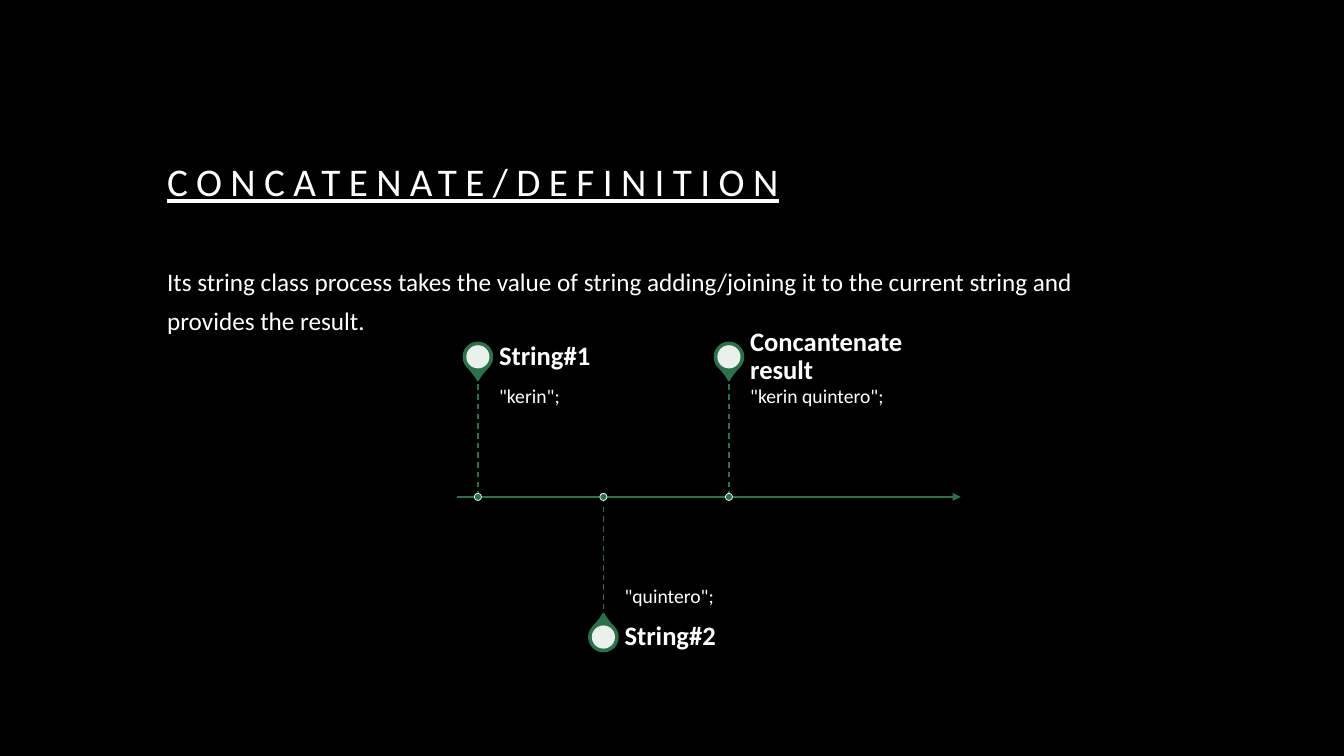
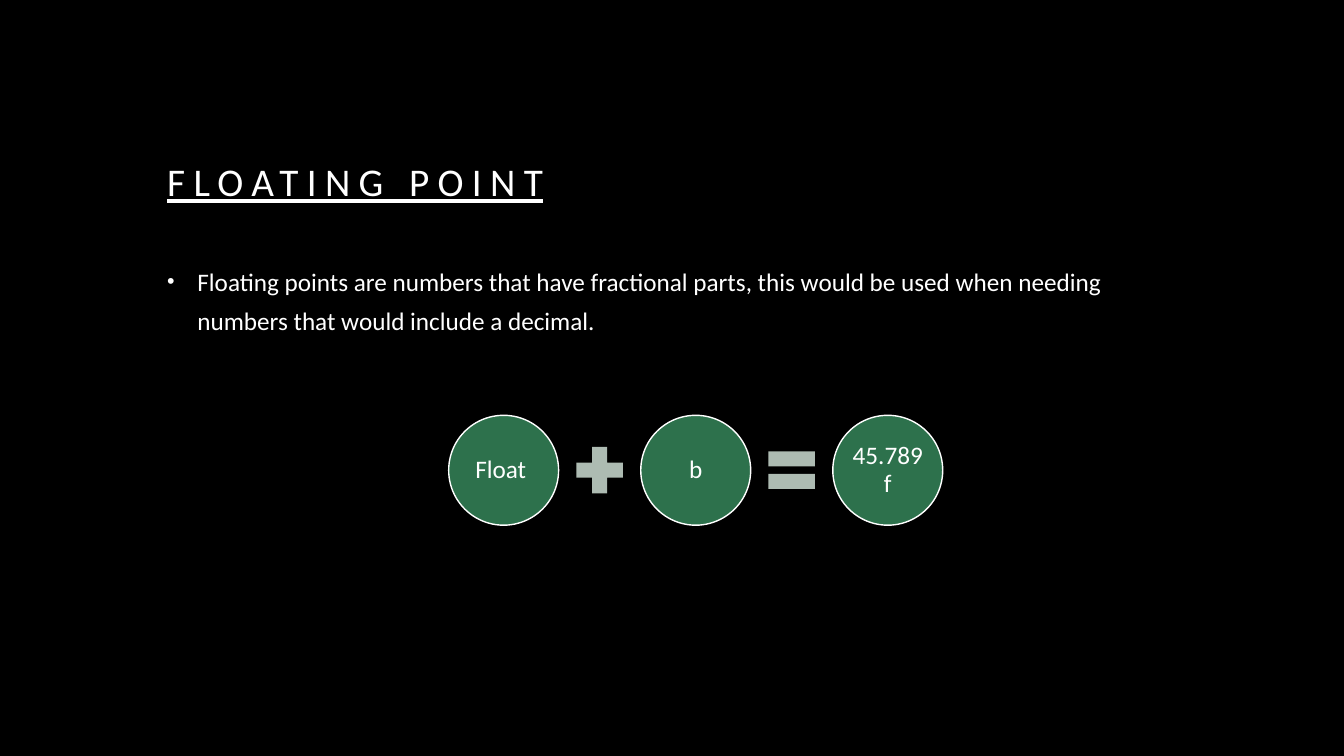
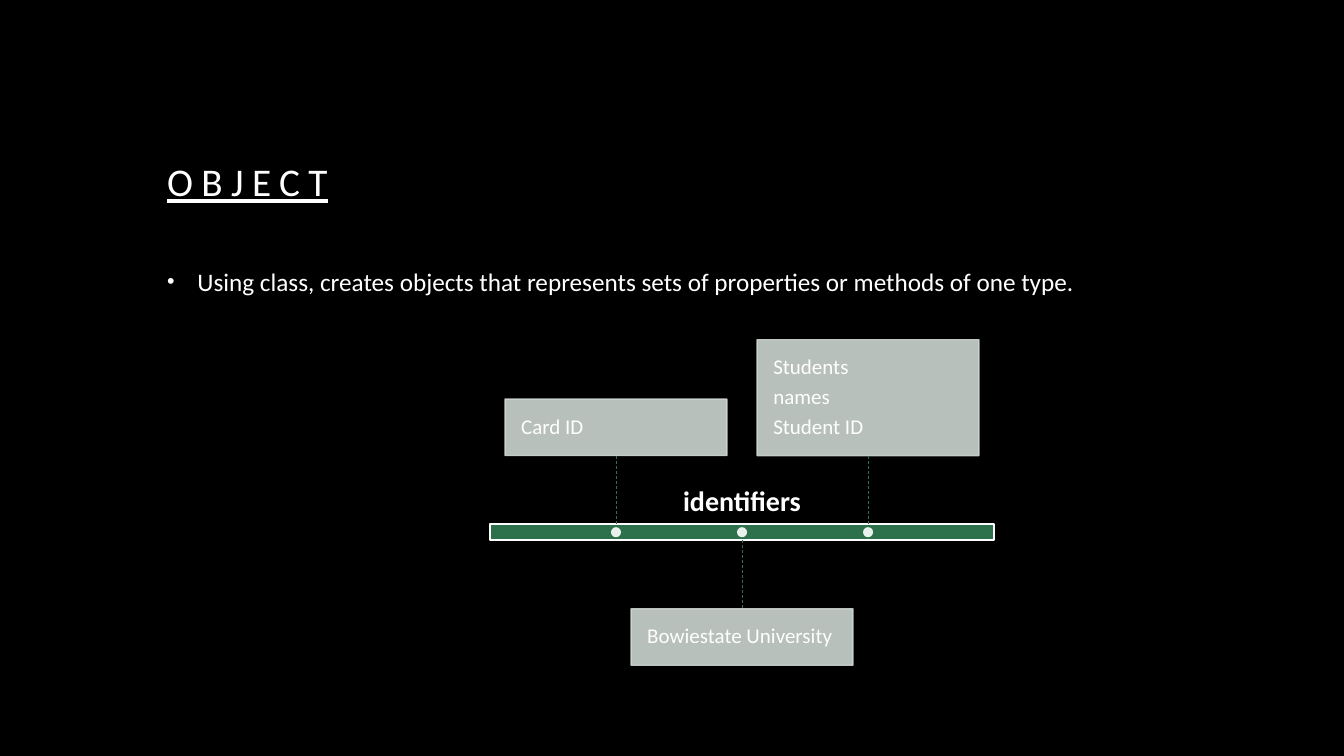
from dataclasses import dataclass

from lxml.etree import SubElement
from pptx import Presentation
from pptx.dml.color import RGBColor
from pptx.enum.dml import MSO_LINE
from pptx.enum.shapes import MSO_CONNECTOR, MSO_SHAPE
from pptx.enum.text import MSO_ANCHOR, PP_ALIGN
from pptx.oxml.ns import qn
from pptx.util import Inches, Pt

RECT, OVAL, TEAR = MSO_SHAPE.RECTANGLE, MSO_SHAPE.OVAL, MSO_SHAPE.TEAR
PLUS, EQUAL = MSO_SHAPE.MATH_PLUS, MSO_SHAPE.MATH_EQUAL
STRAIGHT, DASH = MSO_CONNECTOR.STRAIGHT, MSO_LINE.DASH
TOP, MID, LOW = MSO_ANCHOR.TOP, MSO_ANCHOR.MIDDLE, MSO_ANCHOR.BOTTOM
LEFT, CENTER = PP_ALIGN.LEFT, PP_ALIGN.CENTER


@dataclass(frozen=True)
class Theme:
    font: str = "Calibri"
    back: str = "000000"
    text: str = "FFFFFF"
    green: str = "2D714C"
    sign: str = "ADBBB2"
    card: str = "CDD5D0"
    title: int = 28
    body: int = 18
    head: int = 19
    note: int = 14
    item: int = 15
    label: int = 20


T = Theme()


def rgb(code):
    return RGBColor.from_string(code)


def apply(target, values):
    for name, value in values.items():
        setattr(target, name, value)


def write(shape, text, size, anchor=MID, align=LEFT, inset=(0, 0, 0, 0),
          space=0.9, after=0.35, **style):
    frame = shape.text_frame
    sides = ("margin_left", "margin_top", "margin_right", "margin_bottom")
    apply(frame, {"word_wrap": True, "vertical_anchor": anchor,
                  **{side: Inches(gap) for side, gap in zip(sides, inset)}})
    for i, line in enumerate(text.split("\n")):
        para = frame.add_paragraph() if i else frame.paragraphs[0]
        apply(para, {"alignment": align, "line_spacing": space,
                     "space_before": Pt(0), "space_after": Pt(size * after)})
        run = para.add_run()
        run.text = line
        apply(run.font, {"name": T.font, "size": Pt(size), **style})
        run.font.color.rgb = rgb(T.text)
    return frame


def label(slide, box, text, size, **style):
    shape = slide.shapes.add_textbox(*map(Inches, box))
    return write(shape, text, size, **style)


def draw(slide, kind, box, fill, edge=None, width=1.0, alpha=None):
    shape = slide.shapes.add_shape(kind, *map(Inches, box))
    shape.shadow.inherit = False
    shape.fill.solid()
    shape.fill.fore_color.rgb = rgb(fill)
    if edge:
        shape.line.color.rgb = rgb(edge)
        shape.line.width = Pt(width)
    else:
        shape.line.fill.background()
    if alpha:
        for color in list(shape.element.spPr.iter(qn("a:srgbClr"))):
            SubElement(color, qn("a:alpha"), val=str(alpha * 1000))
    return shape


def dot(slide, x, y, size, fill, **style):
    box = (x - size / 2, y - size / 2, size, size)
    return draw(slide, OVAL, box, fill, **style)


def rule(slide, start, end, width, dash=None, arrow=False):
    line = slide.shapes.add_connector(STRAIGHT, *map(Inches, start + end))
    line.line.color.rgb = rgb(T.green)
    line.line.width = Pt(width)
    if dash:
        line.line.dash_style = dash
    props = line._element.spPr
    if arrow:
        SubElement(props.find(qn("a:ln")), qn("a:tailEnd"), type="triangle")
    SubElement(props, qn("a:effectLst"))


def page(deck, title, body, bullet=True):
    slide = deck.slides.add_slide(deck.slide_layouts[6])
    slide.background.fill.solid()
    slide.background.fill.fore_color.rgb = rgb(T.back)
    pad = (0.1, 0.05, 0.1, 0.05)
    head = label(slide, (1.56, 1.14, 10.1, 0.94), title, T.title, anchor=LOW,
                 inset=pad, space=1.2, after=0, underline=True)
    head.paragraphs[0].runs[0].font._element.set("spc", "600")
    text = label(slide, (1.56, 2.5, 10.1, 4.17), body, T.body, anchor=TOP,
                 inset=pad, space=1.3, after=0)
    if bullet:
        props = text.paragraphs[0]._p.get_or_add_pPr()
        props.set("marL", str(Inches(0.3)))
        props.set("indent", str(Inches(-0.3)))
        SubElement(props, qn("a:buSzPct"), val="85000")
        SubElement(props, qn("a:buFont"), typeface="Arial")
        SubElement(props, qn("a:buChar"), char="•")
    return slide


def event(slide, x, y, up, head, note):
    stem, tall, wide, pin = 1.18, 0.42, 2.08, 0.29
    end = y - stem if up else y + stem
    top = end - tall if up else end
    mid = top + tall / 2
    drop = draw(slide, TEAR, (x - pin / 2, mid - pin / 2, pin, pin),
                T.green, T.green)
    drop.adjustments[0] = 1.15
    drop.rotation = 135 if up else 315
    dot(slide, x, mid, 0.23, T.text, alpha=90)
    left = x + 0.21
    label(slide, (left, min(y, end), wide, stem), note, T.note,
          anchor=TOP if up else LOW,
          inset=(0, 0.1, 0.1, 0.15) if up else (0, 0.15, 0, 0.1))
    label(slide, (left, top, wide, tall), head, T.head,
          inset=(0, 0, 0.13, 0), bold=True)
    rule(slide, (x, y), (x, end), 1, DASH)
    dot(slide, x, y, 0.07, T.green, edge=T.text, width=0.5)


def timeline(slide, left, y, width, events):
    rule(slide, (left, y), (left + width, y), 1.5, arrow=True)
    for i, (head, note) in enumerate(events):
        event(slide, left + 0.21 + i * 1.245, y, i % 2 == 0, head, note)


def formula(slide, left, top, width, ball, terms, signs):
    step = (width - ball) / (len(terms) - 1)
    size = 0.63
    for i, term in enumerate(terms):
        shape = draw(slide, OVAL, (left + i * step, top, ball, ball),
                     T.green, T.text)
        write(shape, term, T.body, align=CENTER, inset=(0.03,) * 4)
    for i, sign in enumerate(signs):
        x = left + (i + 0.5) * step + (ball - size) / 2
        draw(slide, sign, (x, top + (ball - size) / 2, size, size), T.sign)


def band(slide, left, top, width, height, name, cards):
    step = width / (len(cards) + 1)
    gap, wide = 0.68, 2.2
    draw(slide, RECT, (left, top, width, height), T.green, T.text)
    label(slide, (left + width / 2 - 1, top - 0.52, 2, 0.45), name, T.label,
          anchor=LOW, align=CENTER, bold=True)
    for i, (text, tall) in enumerate(cards):
        x = left + (i + 1) * step
        up = i % 2 == 0
        edge = top if up else top + height
        end = edge - gap if up else edge + gap
        box = (x - wide / 2, end - tall if up else end, wide, tall)
        card = draw(slide, RECT, box, T.card, T.card, alpha=90)
        write(card, text, T.item, inset=(0.16,) * 4)
        rule(slide, (x, edge), (x, end), 0.5, DASH)
        dot(slide, x, top + height / 2, 0.1, T.text, alpha=90)


def main():
    deck = Presentation()
    apply(deck, {"slide_width": Inches(13.33), "slide_height": Inches(7.5)})

    slide = page(deck, "CONCATENATE/DEFINITION",
                 "Its string class process takes the value of string "
                 "adding/joining it to the current string and provides "
                 "the result.", bullet=False)
    timeline(slide, 4.53, 4.93, 5, [
        ("String#1", '"kerin";'),
        ("String#2", '"quintero";'),
        ("Concantenate result", '"kerin quintero";')])

    slide = page(deck, "FLOATING POINT",
                 "Floating points are numbers that have fractional parts, "
                 "this would be used when needing numbers that would "
                 "include a decimal.")
    formula(slide, 4.45, 4.12, 4.9, 1.09,
            ["Float ", "b", "45.789f"], [PLUS, EQUAL])

    slide = page(deck, "OBJECT",
                 "Using class, creates objects that represents sets of "
                 "properties or methods of one type.")
    band(slide, 4.86, 5.2, 5, 0.16, "identifiers", [
        ("Card ID", 0.56),
        ("Bowiestate University", 0.56),
        ("Students\nnames\nStudent ID", 1.15)])

    deck.save("out.pptx")


if __name__ == "__main__":
    main()
